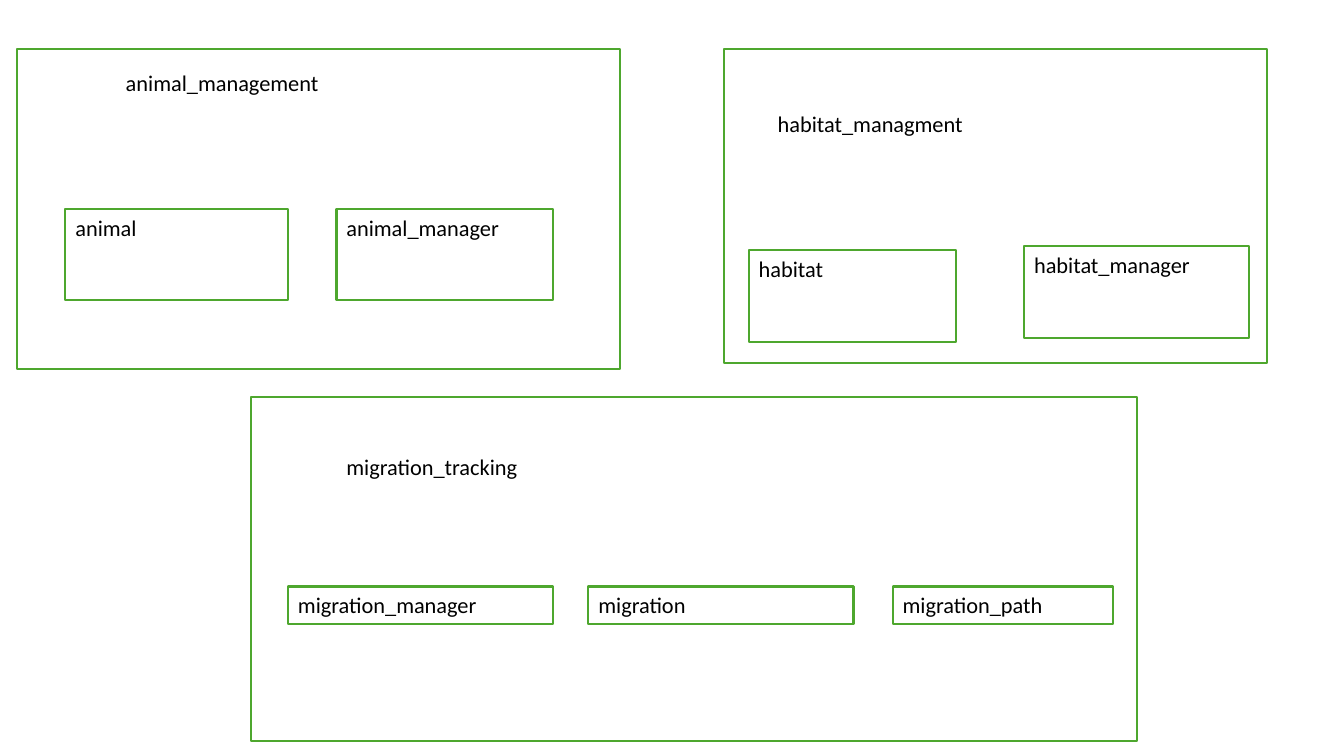
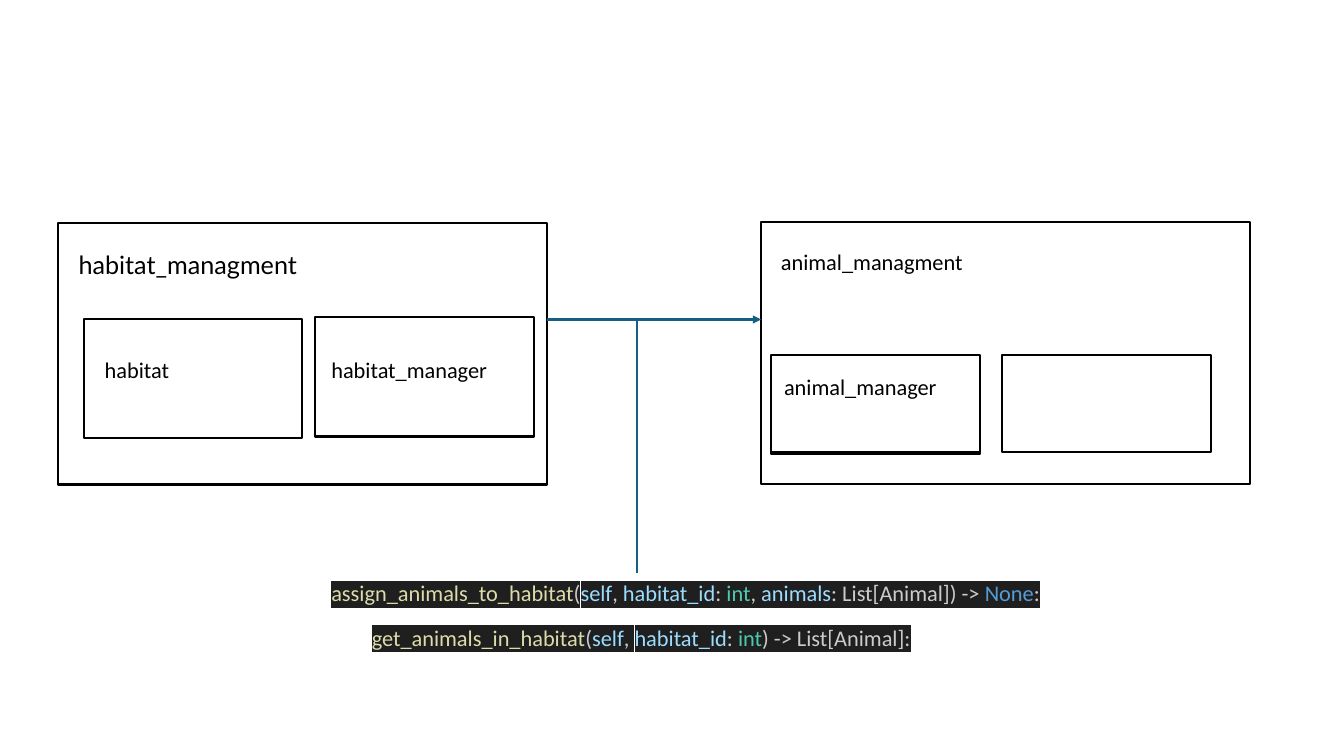
from dataclasses import dataclass

from lxml import etree
from pptx import Presentation
from pptx.dml.color import RGBColor
from pptx.enum.shapes import MSO_CONNECTOR, MSO_SHAPE
from pptx.enum.text import MSO_ANCHOR, PP_ALIGN
from pptx.oxml.ns import qn
from pptx.util import Cm, Pt

RECT = MSO_SHAPE.RECTANGLE
STRAIGHT = MSO_CONNECTOR.STRAIGHT
TOP = MSO_ANCHOR.TOP
LEFT = PP_ALIGN.LEFT


@dataclass(frozen=True)
class Theme:
    font: str = "Calibri"
    title_font: str = "Lato"
    size: int = 16
    title_size: int = 18
    line: float = 1.5
    paper: str = "FFFFFF"
    text: str = "000000"
    green: str = "4EA72E"
    link: str = "156082"
    code_back: str = "1F1F1F"
    function: str = "DCDCAA"
    plain: str = "CCCCCC"
    variable: str = "9CDCFE"
    type: str = "4EC9B0"
    constant: str = "569CD6"


THEME = Theme()
LABEL_H = 0.94

OVERVIEW = [
    {"box": (0.43, 1.24, 15.19, 8.05),
     "title": ("animal_management", 2.92, 1.63, 7.75),
     "modules": [("animal", 1.65, 5.26, 5.61, 2.31),
                 ("animal_manager", 8.48, 5.26, 5.46, 2.31)]},
    {"box": (18.24, 1.24, 13.69, 7.9),
     "title": ("habitat_managment", 19.35, 2.64, 7.16),
     "modules": [("habitat", 18.87, 6.3, 5.23, 2.31),
                 ("habitat_manager", 25.81, 6.2, 5.66, 2.31)]},
    {"box": (6.32, 10.01, 22.33, 8.66),
     "title": ("migration_tracking", 8.48, 11.3, 6.12),
     "modules": [("migration_manager", 7.26, 14.78, 6.68, LABEL_H),
                 ("migration", 14.83, 14.78, 6.68, LABEL_H),
                 ("migration_path", 22.5, 14.78, 5.54, LABEL_H)]},
]

RELATION = [
    {"box": (1.47, 5.61, 12.32, 6.6),
     "title": ("habitat_managment", 1.73, 6.17, 6.73),
     "title_style": (THEME.title_font, THEME.title_size),
     "modules": [("", 2.11, 8.05, 5.51, 3), ("", 7.95, 8, 5.51, 3)],
     "labels": [("habitat", 2.39, 8.86, 6.73),
                ("habitat_manager", 8.1, 8.86, 5.28)]},
    {"box": (19.18, 5.59, 12.32, 6.6),
     "title": ("animal_managment", 19.43, 6.12, 6.73),
     "modules": [("", 19.43, 8.99, 5.28, 2.46),
                 ("", 25.25, 8.94, 5.28, 2.46),
                 ("", 19.43, 8.94, 5.28, 2.46)],
     "labels": [("animal_manager", 19.51, 9.27, 5.28)]},
]

ARGUMENTS = [("(", THEME.plain), ("self", THEME.variable),
             (", ", THEME.plain), ("habitat_id", THEME.variable),
             (": ", THEME.plain), ("int", THEME.type)]

SIGNATURES = [
    ((8.1, 14.48, 18.9, 1.63),
     [("assign_animals_to_habitat", THEME.function), *ARGUMENTS,
      (", ", THEME.plain), ("animals", THEME.variable),
      (": List[Animal]) -> ", THEME.plain),
      ("None", THEME.constant), (":", THEME.plain)]),
    ((9.12, 15.6, 16.94, LABEL_H),
     [("get_animals_in_habitat", THEME.function), *ARGUMENTS,
      (") -> List[Animal]:", THEME.plain)]),
]

LINK_Y = 8.05
LINKS = [((13.79, LINK_Y), (19.18, LINK_Y), True),
         ((16.05, 14.43), (16.05, LINK_Y), False)]


def rgb(color):
    return RGBColor.from_string(color)


def write(sp, runs, font=THEME.font, size=THEME.size, back=None):
    tf = sp.text_frame
    tf.word_wrap = True
    tf.vertical_anchor = TOP
    p = tf.paragraphs[0]
    p.alignment = LEFT
    for text, color in runs:
        r = p.add_run()
        r.text = text
        r.font.name = font
        r.font.size = Pt(size)
        r.font.color.rgb = rgb(color)
        if back:
            highlight = etree.Element(qn("a:highlight"))
            etree.SubElement(highlight, qn("a:srgbClr"), val=back)
            r.font._element.find(qn("a:solidFill")).addnext(highlight)


def add_box(s, box, color, text=""):
    sp = s.shapes.add_shape(RECT, *map(Cm, box))
    sp.shadow.inherit = False
    sp.fill.solid()
    sp.fill.fore_color.rgb = rgb(THEME.paper)
    sp.line.color.rgb = rgb(color)
    sp.line.width = Pt(THEME.line)
    if text:
        write(sp, [(text, THEME.text)])


def add_text(s, box, runs, **style):
    write(s.shapes.add_textbox(*map(Cm, box)), runs, **style)


def add_label(s, label, font=THEME.font, size=THEME.size):
    text, *place = label
    add_text(s, (*place, LABEL_H), [(text, THEME.text)], font=font, size=size)


def add_package(s, package, color):
    add_box(s, package["box"], color)
    add_label(s, package["title"], *package.get("title_style", ()))
    for text, *box in package["modules"]:
        add_box(s, box, color, text)
    for label in package.get("labels", ()):
        add_label(s, label)


def add_link(s, start, end, arrow):
    line = s.shapes.add_connector(STRAIGHT, *map(Cm, (*start, *end)))
    line.line.color.rgb = rgb(THEME.link)
    line.line.width = Pt(THEME.line)
    if arrow:
        etree.SubElement(line.line._get_or_add_ln(), qn("a:tailEnd"), type="triangle")
    etree.SubElement(line._element.spPr, qn("a:effectLst"))


def add_slide(prs, packages, color):
    s = prs.slides.add_slide(prs.slide_layouts[6])
    for package in packages:
        add_package(s, package, color)
    return s


def main():
    prs = Presentation()
    prs.slide_width, prs.slide_height = Cm(33.87), Cm(19.05)
    add_slide(prs, OVERVIEW, THEME.green)
    s = add_slide(prs, RELATION, THEME.text)
    for box, runs in SIGNATURES:
        add_text(s, box, runs, back=THEME.code_back)
    for link in LINKS:
        add_link(s, *link)
    prs.save("out.pptx")


if __name__ == "__main__":
    main()
